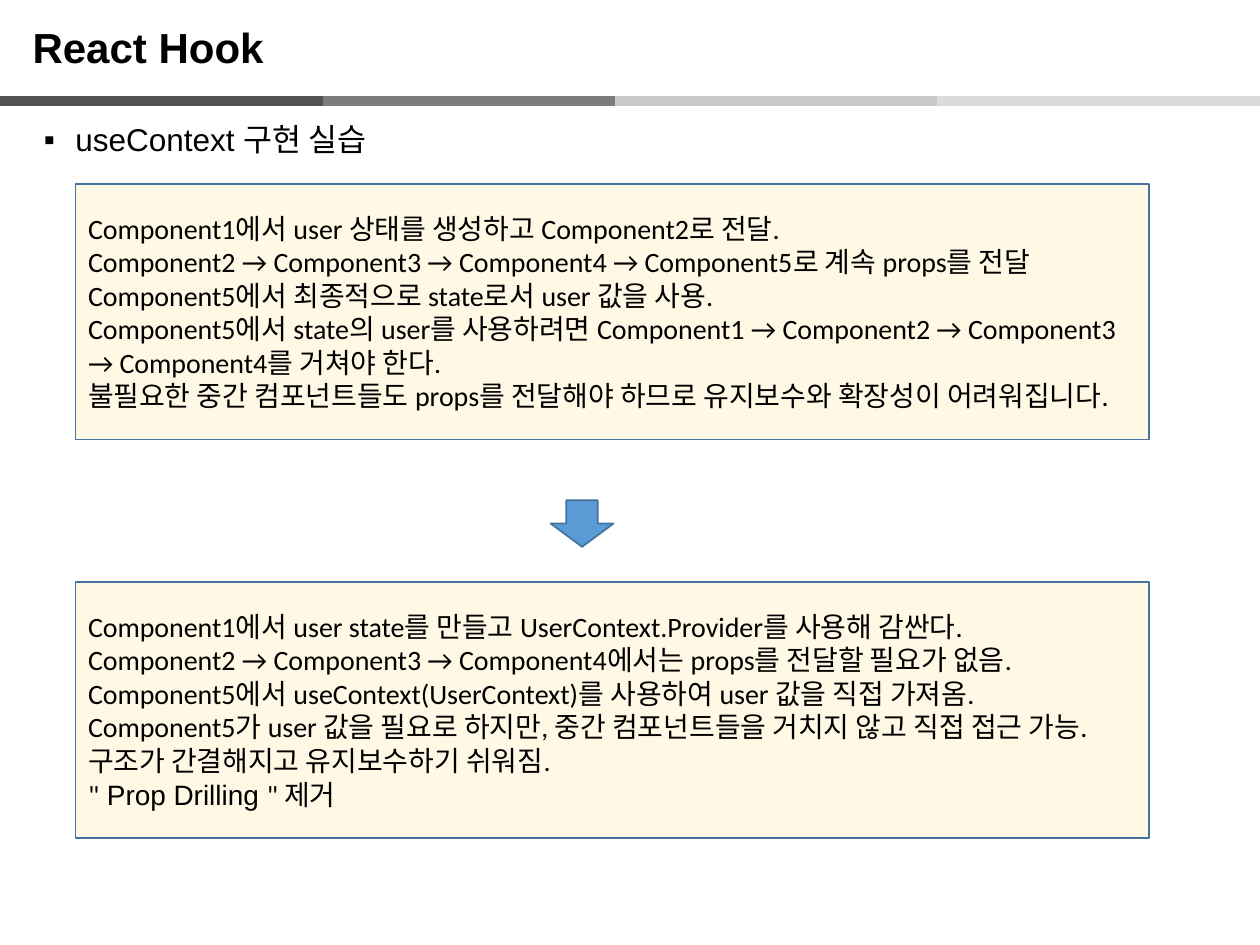
import pptx
import pptx.dml.color
import pptx.enum.shapes
import pptx.enum.text
import pptx.oxml.ns
import pptx.util
from lxml import etree

RGBColor = pptx.dml.color.RGBColor
SHAPE = pptx.enum.shapes.MSO_SHAPE
ANCHOR = pptx.enum.text.MSO_ANCHOR
ALIGN = pptx.enum.text.PP_ALIGN
qn = pptx.oxml.ns.qn
Pt = pptx.util.Pt

BLACK = RGBColor(0x00, 0x00, 0x00)
CREAM = RGBColor(0xFF, 0xF2, 0xCC)
BLUE = RGBColor(0x5B, 0x9B, 0xD5)
BLUE_EDGE = RGBColor(0x43, 0x73, 0x9E)
# Drawn from second to last, then the first, which overlaps its neighbour
STRIPE_COLORS = [RGBColor(0x7C, 0x7C, 0x7C), RGBColor(0xC9, 0xC9, 0xC9),
                 RGBColor(0xDB, 0xDB, 0xDB), RGBColor(0x52, 0x52, 0x52)]

COLS, ROWS = 100, 75
STRIPE_ROW, STRIPE_COLS = 8, 25.6
PANEL_LEFT, PANEL_WIDTH, PANEL_HEIGHT = 6, 85.2, 20.3

BEFORE = [
    "Component1에서 user 상태를 생성하고 Component2로 전달.",
    "Component2 → Component3 → Component4 → Component5로 계속 props를 전달",
    "Component5에서 최종적으로 state로서 user 값을 사용.",
    "Component5에서 state의 user를 사용하려면 Component1 → Component2 → "
    "Component3 → Component4를 거쳐야 한다.",
    "불필요한 중간 컴포넌트들도 props를 전달해야 하므로 유지보수와 확장성이 어려워집니다.",
]
AFTER = [
    "Component1에서 user state를 만들고 UserContext.Provider를 사용해 감싼다.",
    "Component2 → Component3 → Component4에서는 props를 전달할 필요가 없음.",
    "Component5에서 useContext(UserContext)를 사용하여 user 값을 직접 가져옴.",
    "Component5가 user 값을 필요로 하지만, 중간 컴포넌트들을 거치지 않고 직접 접근 가능.",
    "구조가 간결해지고 유지보수하기 쉬워짐.",
]
CONCLUSION = [('"', "Calibri"), (" Prop Drilling ", "Arial"), ('" 제거', "Calibri")]


def grid(prs, cols, rows):
    """Turn grid columns and rows into slide lengths."""
    return int(prs.slide_width * cols / COLS), int(prs.slide_height * rows / ROWS)


def style_run(r, size, name, bold=False):
    r.font.size = Pt(size)
    r.font.name = name
    r.font.bold = bold
    r.font.color.rgb = BLACK


def add_stripes(prs, s):
    starts = [COLS - n * STRIPE_COLS for n in (3, 2, 1)] + [0]
    for start, color in zip(starts, STRIPE_COLORS):
        line = s.shapes.add_connector(
            pptx.enum.shapes.MSO_CONNECTOR.STRAIGHT,
            *grid(prs, start, STRIPE_ROW),
            *grid(prs, start + STRIPE_COLS, STRIPE_ROW))
        line.line.color.rgb = color
        line.line.width = Pt(6)
        etree.SubElement(line._element.spPr, qn("a:effectLst"))


def add_text(prs, s, text, left, top, width, height, size, bold=False):
    tb = s.shapes.add_textbox(*grid(prs, left, top), *grid(prs, width, height))
    tf = tb.text_frame
    tf.word_wrap = True
    tf.text = text
    p = tf.paragraphs[0]
    style_run(p.runs[0], size, "Arial", bold)
    return p


def add_bullet(p, char):
    pPr = p._p.get_or_add_pPr()
    indent = pptx.util.Inches(0.25)
    pPr.set("marL", str(indent))
    pPr.set("indent", str(-indent))
    etree.SubElement(pPr, qn("a:buFont"), typeface="Arial")
    etree.SubElement(pPr, qn("a:buChar"), char=char)
    p.line_spacing = 0.9


def add_filled(prs, s, kind, left, top, width, height, color):
    sp = s.shapes.add_shape(kind, *grid(prs, left, top), *grid(prs, width, height))
    sp.shadow.inherit = False
    sp.fill.solid()
    sp.fill.fore_color.rgb = color
    sp.line.color.rgb = BLUE_EDGE
    sp.line.width = Pt(1)
    return sp


def add_panel(prs, s, top, lines):
    """Add a half-transparent panel; each line is a list of (text, font)."""
    sp = add_filled(prs, s, SHAPE.RECTANGLE, PANEL_LEFT, top,
                    PANEL_WIDTH, PANEL_HEIGHT, CREAM)
    color = sp._element.spPr.find(qn("a:solidFill")).find(qn("a:srgbClr"))
    etree.SubElement(color, qn("a:alpha"), val="50000")
    tf = sp.text_frame
    tf.word_wrap = True
    tf.vertical_anchor = ANCHOR.MIDDLE
    for i, line in enumerate(lines):
        p = tf.add_paragraph() if i else tf.paragraphs[0]
        p.alignment = ALIGN.LEFT
        for text, name in line:
            r = p.add_run()
            r.text = text
            style_run(r, 16, name)


def plain(lines):
    return [[(text, "Calibri")] for text in lines]


def main():
    prs = pptx.Presentation()
    prs.slide_width = pptx.util.Inches(10)
    prs.slide_height = pptx.util.Inches(7.5)
    s = prs.slides.add_slide(prs.slide_layouts[6])

    add_stripes(prs, s)
    heading = add_text(prs, s, "useContext 구현 실습", 2.5, 9.4, 94.2, 4, 18)
    add_bullet(heading, "▪")
    add_text(prs, s, "React Hook", 1.6, 1.2, 69.1, 5, 24, bold=True)
    add_panel(prs, s, 14.6, plain(BEFORE))
    add_filled(prs, s, SHAPE.DOWN_ARROW, 43.7, 39.7, 5, 3.7, BLUE)
    add_panel(prs, s, 46.2, plain(AFTER) + [CONCLUSION])
    prs.save("out.pptx")


if __name__ == "__main__":
    main()
